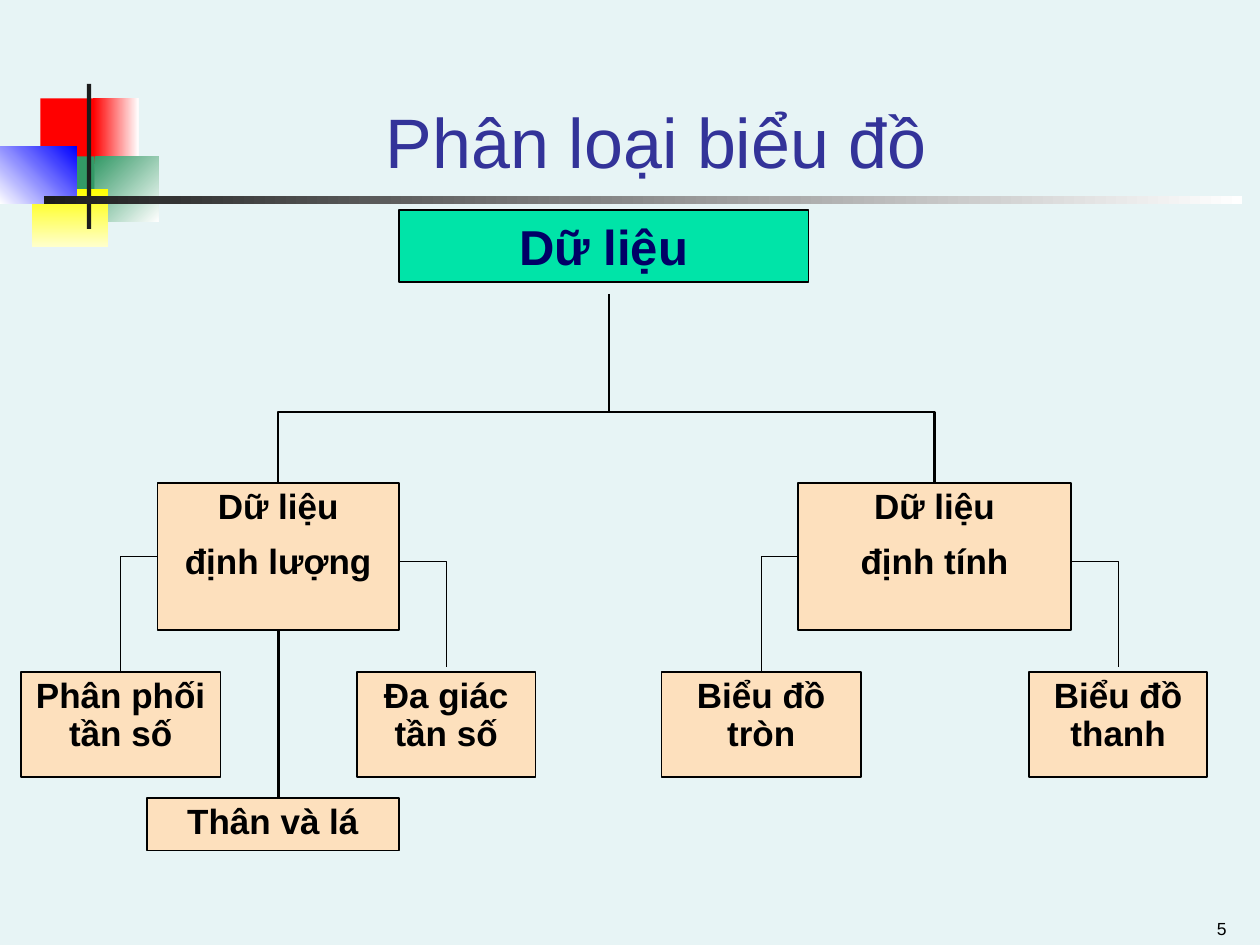
from dataclasses import dataclass

from lxml import etree
from pptx import Presentation
from pptx import util as u
from pptx.dml.color import RGBColor
from pptx.enum import shapes, text
from pptx.oxml.ns import qn

BACKDROP = RGBColor(0xE7, 0xF4, 0xF5)
BLACK = RGBColor(0, 0, 0)
WHITE = RGBColor(0xFF, 0xFF, 0xFF)
CHARCOAL = RGBColor(0x1C, 0x1C, 0x1C)
RED = RGBColor(0xFF, 0, 0)
GREEN = RGBColor(0x33, 0x99, 0x66)
YELLOW = RGBColor(0xFF, 0xFF, 0)
CREAM = RGBColor(0xFF, 0xFF, 0xCC)
BLUE = RGBColor(0, 0, 0xFF)
INDIGO = RGBColor(0x33, 0x33, 0x99)
NAVY = RGBColor(0, 0, 0x66)
MINT = RGBColor(0, 0xE4, 0xA8)
PEACH = RGBColor(0xFD, 0xE0, 0xBD)

CELL = u.Inches(1) / 12  # the page is 120 columns by 90 rows


def cells(*counts):
    return [u.Emu(round(count * CELL)) for count in counts]


@dataclass
class Box:
    left: float
    top: float
    width: float
    height: float

    def inner(self, col, row, width, height):
        return Box(self.left + col, self.top + row, width, height)

    def point(self, col, row):
        return self.left + col, self.top + row

    def place(self):
        return cells(self.left, self.top, self.width, self.height)


def set_all(target, formats):
    for name, value in formats.items():
        setattr(target, name, value)


def write(frame, lines, font, para_format, frame_format):
    set_all(frame, {"word_wrap": True, "auto_size": text.MSO_AUTO_SIZE.NONE,
                    **frame_format})
    for index, line in enumerate(lines):
        para = frame.paragraphs[0] if index == 0 else frame.add_paragraph()
        set_all(para, {**para_format, "space_before": u.Pt(10 if index else 0)})
        span = para.add_run()
        span.text = line
        set_all(span.font, {"name": "Arial",
                            **{k: v for k, v in font.items() if k != "color"}})
        span.font.color.rgb = font["color"]


def add_rect(parent, box):
    rect = parent.shapes.add_shape(shapes.MSO_SHAPE.RECTANGLE, *box.place())
    rect.shadow.inherit = False
    return rect


def add_node(page, box, lines, fill=PEACH, color=BLACK, size=20, spacing=0.9):
    node = add_rect(page, box)
    node.fill.solid()
    node.fill.fore_color.rgb = fill
    node.line.color.rgb = BLACK
    node.line.width = u.Pt(1)
    write(node.text_frame, lines,
          {"size": u.Pt(size), "bold": True, "color": color},
          {"alignment": text.PP_ALIGN.CENTER, "line_spacing": spacing},
          {"vertical_anchor": text.MSO_ANCHOR.TOP})


def add_link(page, start, end, width):
    """Straight when the ends share a column, else across and then down."""
    bent = start[0] != end[0]
    kind = shapes.MSO_CONNECTOR.ELBOW if bent else shapes.MSO_CONNECTOR.STRAIGHT
    link = page.shapes.add_connector(kind, *cells(*start, *end))
    link.line.color.rgb = BLACK
    link.line.width = u.Pt(width)
    properties = link._element.spPr
    if bent:
        properties.find(qn("a:prstGeom")).set("prst", "bentConnector2")
    etree.SubElement(properties, qn("a:effectLst"))


def add_emblem(page, box):
    # Offsets in cells, colours from start to end, clockwise angle
    pieces = [
        ((3.84, 1.36, 5.76, 6.24), RED, None, 0),
        ((8.88, 1.36, 4.32, 6.24), RED, WHITE, 0),
        ((9, 6.88, 6.12, 6.24), GREEN, WHITE, 45),
        ((5.16, 6.88, 3.84, 6.24), GREEN, None, 0),
        ((3, 10, 7.32, 5.52), YELLOW, CREAM, 90),
        ((0, 5.92, 7.32, 5.52), WHITE, BLUE, 315),
        ((8.28, 0, 0.4, 13.8), CHARCOAL, None, 0),
        ((4.2, 10.72, 114.12, 0.72), CHARCOAL, WHITE, 0),
    ]
    group = page.shapes.add_group_shape()
    for offsets, first, last, angle in pieces:
        rect = add_rect(group, box.inner(*offsets))
        rect.line.fill.background()
        if last is None:
            rect.fill.solid()
            rect.fill.fore_color.rgb = first
        else:
            rect.fill.gradient()
            rect.fill.gradient_angle = (360 - angle) % 360
            for stop, color in zip(rect.fill.gradient_stops, (first, last)):
                stop.color.rgb = color


def add_title(page, box, words):
    title = page.shapes.title
    set_all(title, dict(zip(("left", "top", "width", "height"), box.place())))
    write(title.text_frame, [words], {"size": u.Pt(40), "color": INDIGO},
          {"alignment": text.PP_ALIGN.CENTER},
          {"vertical_anchor": text.MSO_ANCHOR.BOTTOM})


def add_number(page, box, number):
    label = page.shapes.add_textbox(*box.place())
    write(label.text_frame, [number], {"size": u.Pt(10), "color": BLACK},
          {"alignment": text.PP_ALIGN.RIGHT},
          {"vertical_anchor": text.MSO_ANCHOR.BOTTOM})


def add_root(page, box, words, branch_points):
    middle = box.left + box.width / 2 + 0.5
    fork = (middle, box.top + 19.25)
    add_node(page, box, [words], MINT, NAVY, 28, 1.0)
    add_link(page, (middle, box.top + 8), fork, 1.5)
    for point in branch_points:
        add_link(page, fork, point, 1.25)


def add_branch(page, box, heading, left_leaf, right_leaf, low_leaf=None):
    head_left, head_right = 13, box.width - 13
    head_width = head_right - head_left
    # Links from the sides of the heading
    add_link(page, box.point(head_left, 7), box.point(head_left - 3.5, 18), 0.75)
    add_link(page, box.point(head_right, 7.5),
             box.point(head_right + 4.5, 17.5), 0.75)
    # Heading and side leaves
    add_node(page, box.inner(head_left, 0, head_width, 14), heading)
    add_node(page, box.inner(0, 18, 19, 10), [left_leaf])
    add_node(page, box.inner(box.width - 17, 18, 17, 10), [right_leaf])
    # Leaf under the heading
    if low_leaf:
        middle = box.width / 2
        add_link(page, box.point(middle, 14), box.point(middle, 30), 1.5)
        add_node(page, box.inner(head_left - 1, 30, head_width + 1, 5), [low_leaf])


def main():
    deck = Presentation()
    deck.slide_width, deck.slide_height = cells(120, 90)
    page = deck.slides.add_slide(deck.slide_layouts[5])
    page.background.fill.solid()
    page.background.fill.fore_color.rgb = BACKDROP

    add_emblem(page, Box(0, 8, 118.32, 15.52))
    add_title(page, Box(9, 5, 107, 13), "Phân loại biểu đồ")
    add_number(page, Box(90, 85.8, 28, 4.2), "5")

    quantitative = Box(2, 46, 49, 35)
    qualitative = Box(63, 46, 52, 28)
    tops = [branch.point(branch.width / 2, 0)
            for branch in (quantitative, qualitative)]
    add_root(page, Box(38, 20, 39, 6.86), "Dữ liệu", tops)
    add_branch(page, quantitative, ["Dữ liệu", "định lượng"],
               "Phân phối tần số", "Đa giác tần số", "Thân và lá")
    add_branch(page, qualitative, ["Dữ liệu", "định tính"],
               "Biểu đồ tròn", "Biểu đồ thanh")
    deck.save("out.pptx")


if __name__ == "__main__":
    main()
